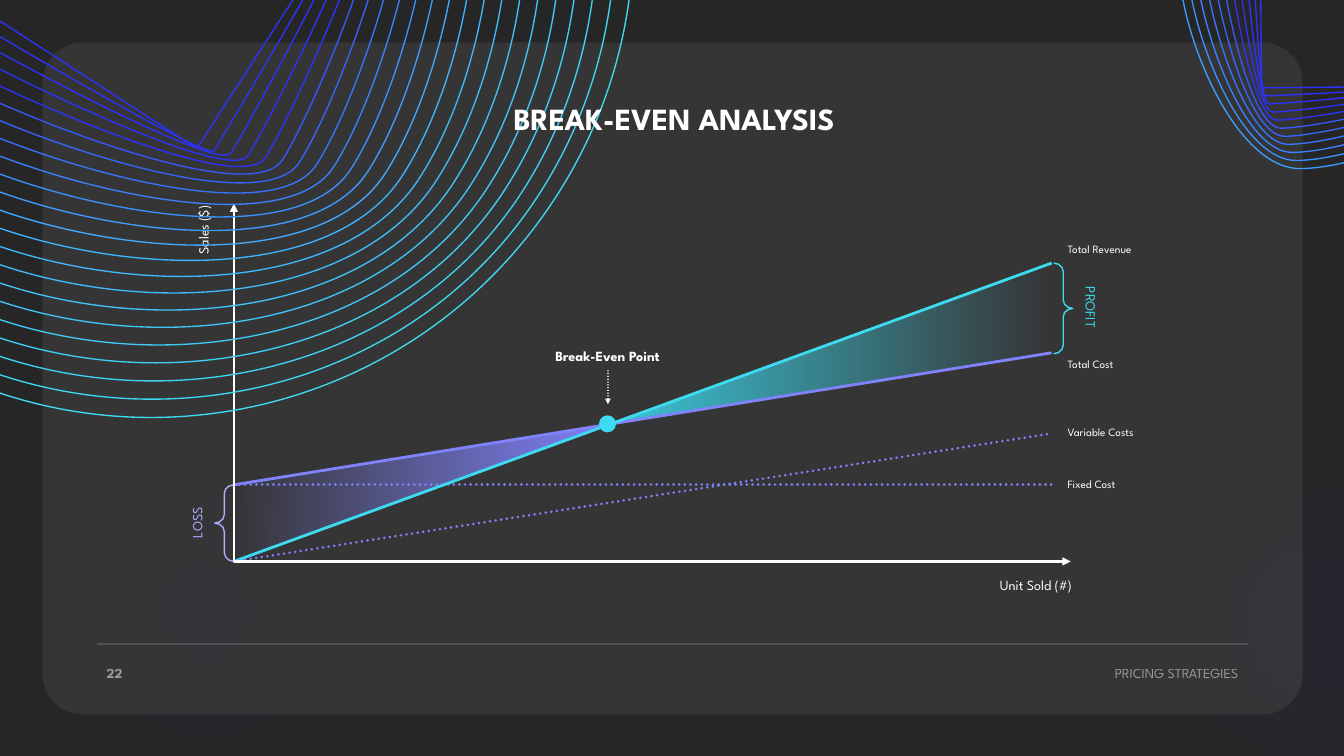
from dataclasses import dataclass
from math import cos, radians, sin

from pptx import Presentation
from pptx.dml.color import RGBColor
from pptx.enum.dml import MSO_LINE
from pptx.enum.shapes import MSO_CONNECTOR as Connector, MSO_SHAPE as Shape
from pptx.enum.text import MSO_ANCHOR as Anchor, MSO_AUTO_SIZE as AutoSize, PP_ALIGN as Align
from pptx.oxml import parse_xml
from pptx.oxml.ns import nsdecls, qn
from pptx.util import Inches, Pt

FONT = "League Spartan"
COLORS = {
    "back": "262626", "panel": "595959", "white": "FFFFFF", "blue": "2D31FA",
    "violet": "8183FC", "lilac": "ABADFD", "cyan": "3EDBF0",
}
RING_COLORS = [COLORS["blue"]] * 5 + (
    "3359FC 3565FC 3774FD 3981FD 3B90FE 3D9CFE 3FAAFF 40B3FE 40B7FD "
    "3FBBFB 3FC1F9 3FC4F8 3FC9F6 3FCEF5 3ED2F3 3ED7F1 3EDBF0").split()

Point = tuple[float, float]
Stop = tuple[int, str, int]  # position %, color name, opacity %

# Key points of the break-even chart
ORIGIN: Point = (2.32, 5.57)
FIXED_START: Point = (2.32, 4.81)
BREAK_EVEN: Point = (6.03, 4.21)
REVENUE_END: Point = (10.43, 2.61)
COST_END: Point = (10.43, 3.5)


@dataclass(frozen=True)
class Label:
    text: str
    left: float
    top: float
    width: float
    height: float
    size: float = 10
    color: str = "white"
    align: Align | None = None
    bold: bool = False
    turn: float = 0
    opacity: int = 100
    wrap: bool = False
    anchor: Anchor | None = None


@dataclass(frozen=True)
class Stroke:
    start: Point
    end: Point
    color: str
    width: float = 2
    dotted: bool = False
    arrow: bool = False
    opacity: int = 100


@dataclass(frozen=True)
class Glow:
    left: float
    top: float
    size: float
    color: str
    turn: float = 0


@dataclass(frozen=True)
class RingSet:
    center: Point
    turn: float
    scale: float
    count: int


def set_color(fill, hex_color: str, opacity: int = 100) -> None:
    """Give a fill a solid color with optional transparency."""
    fill.solid()
    fill.fore_color.rgb = RGBColor.from_string(hex_color)
    if opacity < 100:
        node = next(fill._xPr.iter(qn("a:srgbClr")))
        node.append(parse_xml(f'<a:alpha {nsdecls("a")} val="{opacity * 1000}"/>'))


def set_gradient(shape, stops: list[Stop], direction: str) -> None:
    shape.fill.background()
    stop_xml = "".join(
        f'<a:gs pos="{place * 1000}"><a:srgbClr val="{COLORS[color]}">'
        f'<a:alpha val="{opacity * 1000}"/></a:srgbClr></a:gs>'
        for place, color, opacity in stops)
    empty = shape.element.spPr.find(qn("a:noFill"))
    empty.getparent().replace(empty, parse_xml(
        f'<a:gradFill {nsdecls("a")} rotWithShape="1"><a:gsLst>{stop_xml}</a:gsLst>'
        f'{direction}</a:gradFill>'))


def add_arrowhead(line, end: str, size: str = "med") -> None:
    line._get_or_add_ln().append(parse_xml(
        f'<a:{end} {nsdecls("a")} type="triangle" w="{size}" len="{size}"/>'))


def add_preset(page, kind: Shape, left: float, top: float, width: float, height: float):
    shape = page.shapes.add_shape(kind, Inches(left), Inches(top), Inches(width), Inches(height))
    shape.shadow.inherit = False
    shape.fill.background()
    shape.line.fill.background()
    return shape


def add_outline(page, points: list[Point], close: bool = True):
    corners = [(Inches(x), Inches(y)) for x, y in points]
    builder = page.shapes.build_freeform(*corners[0])
    builder.add_line_segments(corners[1:], close=close)
    shape = builder.convert_to_shape()
    shape.shadow.inherit = False
    shape.fill.background()
    shape.line.fill.background()
    return shape


def add_glow(page, glow: Glow) -> None:
    """Circle with a gradient and a wide soft edge."""
    shape = add_preset(page, Shape.OVAL, glow.left, glow.top, glow.size, glow.size)
    shape.rotation = glow.turn
    stops = [(23, glow.color, 40), (68, glow.color, 5), (100, glow.color, 0)]
    set_gradient(shape, stops, '<a:path path="circle"><a:fillToRect l="50000" t="130000" '
                               'r="50000" b="-30000"/></a:path>')
    shape.element.spPr.find(qn("a:effectLst")).append(
        parse_xml(f'<a:softEdge {nsdecls("a")} rad="{Inches(2.5)}"/>'))


def add_stroke(page, stroke: Stroke) -> None:
    ends = [Inches(value) for value in (*stroke.start, *stroke.end)]
    connector = page.shapes.add_connector(Connector.STRAIGHT, *ends)
    connector.line.width = Pt(stroke.width)
    set_color(connector.line.fill, COLORS[stroke.color], stroke.opacity)
    if stroke.dotted:
        connector.line.dash_style = MSO_LINE.ROUND_DOT
        connector.line._get_or_add_ln().set("cap", "rnd")
    if stroke.arrow:
        add_arrowhead(connector.line, "tailEnd", "sm")
    connector.element.spPr.append(parse_xml(f'<a:effectLst {nsdecls("a")}/>'))


def add_label(page, label: Label) -> None:
    box = page.shapes.add_textbox(Inches(label.left), Inches(label.top),
                                  Inches(label.width), Inches(label.height))
    box.rotation = label.turn
    frame = box.text_frame
    frame.text = label.text
    frame.word_wrap = label.wrap
    frame.auto_size = AutoSize.SHAPE_TO_FIT_TEXT
    if label.anchor is not None:
        frame.vertical_anchor = label.anchor
    para = frame.paragraphs[0]
    para.alignment = label.align
    font = para.runs[0].font
    font.name, font.size, font.bold = FONT, Pt(label.size), label.bold
    set_color(font.fill, COLORS[label.color], label.opacity)


def add_brace(page, left: float, top: float, height: float, color: str, flip: bool) -> None:
    brace = add_preset(page, Shape.LEFT_BRACE, left, top, 0.19, height)
    brace.adjustments[0] = 0.45
    brace.line.width = Pt(1)
    set_color(brace.line.fill, COLORS[color])
    if flip:
        brace.element.spPr.xfrm.set("flipH", "1")


def add_rings(page, rings: RingSet) -> None:
    """Square that grows ring by ring into a circle; four equal curved sides."""
    def place(x: float, y: float, angle: float) -> Point:
        c, s = cos(radians(angle)) * rings.scale, sin(radians(angle)) * rings.scale
        return rings.center[0] + x * c - y * s, rings.center[1] + x * s + y * c

    for index, hex_color in enumerate(RING_COLORS[:rings.count]):
        grow = index / 10
        side = [(-1.61 * grow, -2.16 - 0.58 * grow),
                (-0.72 * grow, -2.16 - 1.47 * grow),
                (2.16 - 0.31 * grow, -2.5 * grow)]
        points = [place(x, y, rings.turn + 90 * quarter)
                  for quarter in range(4) for x, y in side]
        ring = add_outline(page, points + points[:1])
        # Join every three segments into one Bézier curve
        segments = list(ring.element.iter(qn("a:lnTo")))
        for first in range(0, 12, 3):
            curve = parse_xml(f'<a:cubicBezTo {nsdecls("a")}/>')
            segments[first].addprevious(curve)
            for segment in segments[first:first + 3]:
                curve.append(segment[0])
                segment.getparent().remove(segment)
        ring.line.width = Pt(0.95)
        set_color(ring.line.fill, hex_color)


def main() -> None:
    deck = Presentation()
    deck.slide_width, deck.slide_height = Inches(13.33), Inches(7.5)
    page = deck.slides.add_slide(deck.slide_layouts[6])
    set_color(page.background.fill, COLORS["back"])

    # Backdrop and footer
    for glow in (Glow(-3.13, -1.08, 10.35, "blue"), Glow(8.16, -0.8, 10.34, "blue", 195)):
        add_glow(page, glow)
    panel = add_preset(page, Shape.ROUNDED_RECTANGLE, 0.42, 0.42, 12.5, 6.67)
    panel.adjustments[0] = 0.06
    set_color(panel.fill, COLORS["panel"], 30)
    panel.line.width = Pt(1)
    set_color(panel.line.fill, COLORS["back"], 10)
    add_stroke(page, Stroke((0.96, 6.39), (12.38, 6.39), "white", 0.5, opacity=40))
    add_label(page, Label("22", 0.96, 6.54, 0.42, 0.27, bold=True, opacity=50, wrap=True,
                          anchor=Anchor.MIDDLE))
    add_label(page, Label("PRICING STRATEGIES", 10.81, 6.54, 1.57, 0.27, align=Align.RIGHT,
                          opacity=50, anchor=Anchor.MIDDLE))

    # Fixed cost, profit and loss braces
    add_stroke(page, Stroke(FIXED_START, (10.45, 4.81), "violet", dotted=True))
    add_label(page, Label("PROFIT", 10.41, 2.91, 0.81, 0.28, color="cyan",
                          align=Align.CENTER, turn=90))
    add_brace(page, 10.45, 2.61, 0.9, "cyan", flip=True)
    add_label(page, Label("LOSS", 1.69, 5.05, 0.53, 0.27, color="lilac",
                          align=Align.CENTER, turn=270))
    add_brace(page, 2.13, 4.81, 0.76, "lilac", flip=False)

    # Profit and loss areas, cost and revenue lines
    across = '<a:lin ang="0" scaled="0"/>'
    set_gradient(add_outline(page, [REVENUE_END, COST_END, BREAK_EVEN]),
                 [(0, "cyan", 89), (100, "cyan", 0)], across)
    set_gradient(add_outline(page, [BREAK_EVEN, ORIGIN, FIXED_START]),
                 [(0, "violet", 0), (100, "violet", 100)], across)
    add_stroke(page, Stroke(FIXED_START, COST_END, "violet"))
    add_stroke(page, Stroke(ORIGIN, REVENUE_END, "cyan"))

    # Break-even point
    dot = add_preset(page, Shape.OVAL, 5.94, 4.12, 0.17, 0.17)
    set_color(dot.fill, COLORS["cyan"])
    add_label(page, Label("Break-Even Point", 5.32, 3.4, 1.41, 0.28, align=Align.CENTER,
                          bold=True))
    add_stroke(page, Stroke((6.03, 3.68), (6.03, 4.01), "white", 1, dotted=True, arrow=True))

    # Variable costs and axes
    add_stroke(page, Stroke(ORIGIN, (10.43, 4.3), "violet", dotted=True))
    axes = add_outline(page, [(2.32, 2.02), ORIGIN, (10.62, 5.57)], close=False)
    axes.line.width = Pt(1.5)
    set_color(axes.line.fill, COLORS["white"])
    for end in ("headEnd", "tailEnd"):
        add_arrowhead(axes.line, end)

    # Line and axis labels
    for text, top, width in (("Fixed Cost", 4.69, 0.8), ("Variable Costs", 4.17, 1.03),
                             ("Total Revenue", 2.35, 1.03), ("Total Cost", 3.5, 0.78)):
        add_label(page, Label(text, 10.49, top, width, 0.25, size=8))
    add_label(page, Label("Sales ($)", 1.62, 2.2, 0.8, 0.28, align=Align.RIGHT, turn=270))
    add_label(page, Label("Unit Sold (#)", 9.65, 5.67, 1.08, 0.28, align=Align.RIGHT))

    # Ring ornaments and title
    add_rings(page, RingSet((1.5, -0.64), -12.1, 1, 22))
    add_rings(page, RingSet((13.3, 0.07), 134.5, 0.52, 11))
    add_label(page, Label("BREAK-EVEN ANALYSIS", 4.09, 0.94, 5.19, 0.47, size=22,
                          align=Align.CENTER, bold=True, wrap=True))
    deck.save("out.pptx")


if __name__ == "__main__":
    main()
